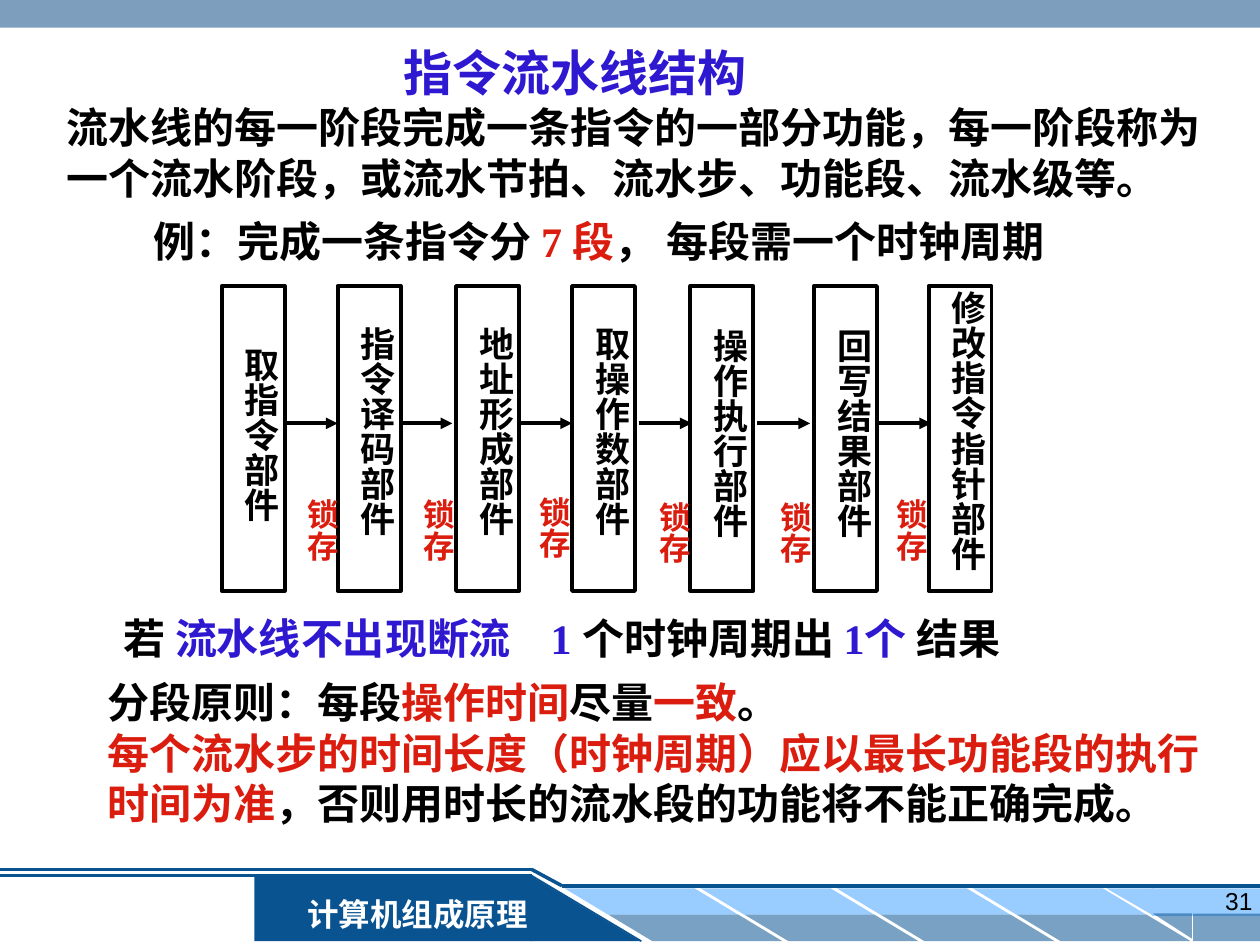
from lxml.etree import SubElement
from pptx import Presentation
from pptx.dml.color import RGBColor
from pptx.enum.shapes import MSO_CONNECTOR as Link, MSO_SHAPE as Kind
from pptx.enum.text import MSO_ANCHOR as Anchor, MSO_AUTO_SIZE as Fit, PP_ALIGN as Align
from pptx.oxml.ns import qn
from pptx.util import Inches, Pt

WIDE, HIGH = Inches(10), Inches(7.5)
CELL = WIDE / 10  # the grid has 10 columns and 7.5 rows

BLACK = RGBColor(0x00, 0x00, 0x00)
WHITE = RGBColor(0xFF, 0xFF, 0xFF)
RED = RGBColor(0xDA, 0x1D, 0x0E)
BLUE = RGBColor(0x2E, 0x18, 0xD0)
NAVY = RGBColor(0x09, 0x53, 0x91)
SKY = RGBColor(0x99, 0xCC, 0xFF)
STEEL = RGBColor(0x33, 0x66, 0x99)
SERIF, SANS, HAN = "Times New Roman", "Arial", "Noto Sans CJK SC"

# left, label, label top, label height
STAGES = [
    (0.00, "取指令部件", 0.49, 1.49), (0.92, "指令译码部件", 0.32, 1.77),
    (1.86, "地址形成部件", 0.32, 1.77), (2.78, "取操作数部件", 0.32, 1.77),
    (3.72, "操作执行部件", 0.34, 2.07), (4.70, "回写结果部件", 0.34, 2.25),
    (5.61, "修改指令指针部件", 0.04, 2.33),
]
# arrow left, latch left, latch top
LINKS = [
    (0.50, 0.50, 1.69), (1.41, 1.42, 1.69), (2.36, 2.34, 1.67),
    (3.31, 3.29, 1.71), (4.25, 4.25, 1.71), (5.21, 5.17, 1.69),
]


def grid(*cells):
    return [round(c * CELL) for c in cells]


def shift(box, x, y, w, h):
    """Turn an offset inside box into a place on the slide."""
    return box[0] + x, box[1] + y, w, h


def write(para, runs, size, font=SERIF, bold=True):
    for text, color in runs:
        run = para.add_run()
        run.text = text
        face = run.font
        face.size, face.bold, face.name = Pt(size), bold, font
        face.color.rgb = color
        SubElement(run.font._element, qn("a:ea")).set("typeface", HAN)


def frame(shape, pad, wrap, anchor):
    text = shape.text_frame
    text.auto_size, text.word_wrap, text.vertical_anchor = Fit.NONE, wrap, anchor
    text.margin_left = text.margin_right = Inches(pad[0])
    text.margin_top = text.margin_bottom = Inches(pad[1])
    return text


def place(shape, box):
    shape.left, shape.top, shape.width, shape.height = grid(*box)


def label(slide, box, runs, size, align=Align.LEFT, pad=(0, 0.05), wrap=False,
          anchor=Anchor.MIDDLE, **style):
    shape = slide.shapes.add_textbox(*grid(*box))
    para = frame(shape, pad, wrap, anchor).paragraphs[0]
    para.alignment = align
    write(para, runs, size, **style)
    return shape


def upright(slide, box, text, size, color):
    """Add a label that reads from top to bottom."""
    shape = label(slide, box, [(text, color)], size, Align.CENTER,
                  (0.05, 0), True, Anchor.TOP)
    shape.element.txBody.bodyPr.set("vert", "eaVert")


def solid(slide, kind, box, color, alpha=None, flip="", slant=None):
    shape = slide.shapes.add_shape(kind, *grid(*box))
    shape.shadow.inherit = False
    shape.line.fill.background()
    shape.fill.solid()
    shape.fill.fore_color.rgb = color
    if slant:
        shape.adjustments[0] = slant
    if alpha:
        tint = shape.element.spPr.find(".//" + qn("a:srgbClr"))
        SubElement(tint, qn("a:alpha")).set("val", str(alpha * 1000))
    for axis in flip:
        shape.element.spPr.find(qn("a:xfrm")).set("flip" + axis, "1")


def rule(slide, box, ends, color, width, arrow=False):
    x, y = box[:2]
    x1, y1, x2, y2 = ends
    line = slide.shapes.add_connector(
        Link.STRAIGHT, *grid(x + x1, y + y1, x + x2, y + y2))
    line.line.color.rgb, line.line.width = color, Pt(width)
    if arrow:
        SubElement(line.line._get_or_add_ln(), qn("a:tailEnd")).set("type", "triangle")
    SubElement(line.element.spPr, qn("a:effectLst"))


def footer(slide, box):
    def part(kind, x, y, w, h, *args, **more):
        solid(slide, kind, shift(box, x, y, w, h), *args, **more)

    part(Kind.RECTANGLE, 2.02, 0.05, 2.2, 0.52, NAVY)
    for ends, width in [((5.09, 0.57, 4.22, 0.05), 1), ((4.22, 0.05, 0, 0.05), 1.5),
                        ((0, 0, 4.22, 0), 2)]:
        rule(slide, box, ends, NAVY, width)
    for i in range(4):
        left = 4.48 + 1.08 * i
        part(Kind.PARALLELOGRAM, left, 0.15, 1.38, 0.21, SKY, flip="H", slant=1.66)
        part(Kind.PARALLELOGRAM, left + 0.35, 0.36, 1.38, 0.21, NAVY, 54, "H", 1.66)
    part(Kind.RECTANGLE, 9.14, 0.15, 0.86, 0.22, SKY)
    part(Kind.RIGHT_TRIANGLE, 8.78, 0.15, 0.38, 0.22, SKY, flip="HV")
    part(Kind.RECTANGLE, 9.47, 0.35, 0.53, 0.22, NAVY, 54)
    part(Kind.RIGHT_TRIANGLE, 9.15, 0.35, 0.31, 0.2, NAVY, 54, "HV")
    rule(slide, box, (4.46, 0.13, 10, 0.13), NAVY, 2)
    part(Kind.RIGHT_TRIANGLE, 4.21, 0.05, 0.87, 0.52, NAVY)
    rule(slide, box, (4.22, 0, 4.46, 0.13), NAVY, 2)
    label(slide, shift(box, 2.29, 0.15, 2.05, 0.4), [("计算机组成原理", WHITE)],
          18, Align.CENTER, (0.1, 0.05))
    label(slide, shift(box, 7.71, 0.08, 2.33, 0.52), [("31", BLACK)], 14, Align.RIGHT,
          (0.1, 0.05), True, Anchor.TOP, font=SANS, bold=False)


def heading(shape, box):
    place(shape, box)
    para = frame(shape, (0, 0.05), False, Anchor.MIDDLE).paragraphs[0]
    para.alignment = Align.CENTER
    write(para, [("指令流水线结构", BLUE)], 28)


def prose(shape, box, paras, font):
    """Fill a placeholder or text box with plain, evenly spaced paragraphs."""
    place(shape, box)
    text = frame(shape, (0.1, 0.05), True, Anchor.TOP)
    for i, runs in enumerate(paras):
        para = text.add_paragraph() if i else text.paragraphs[0]
        para.line_spacing, para.space_before = Pt(28.8), Pt(0)
        props = para._p.get_or_add_pPr()
        props.set("marL", "0")
        props.set("indent", "0")
        SubElement(props, qn("a:buNone"))
        write(para, runs, 24, font)


def pipeline(slide, box):
    for x, name, top, tall in STAGES:
        upright(slide, shift(box, x, top, 0.53, tall), name, 20, BLACK)
        unit = slide.shapes.add_shape(Kind.RECTANGLE, *grid(*shift(box, x, 0, 0.5, box[3])))
        unit.shadow.inherit = False
        unit.fill.background()
        unit.line.color.rgb, unit.line.width = BLACK, Pt(2.25)
    for x, left, top in LINKS:
        rule(slide, box, (x, 1.09, x + 0.42, 1.09), BLACK, 2.25, True)
        upright(slide, shift(box, left, top, 0.5, 0.6), "锁存", 18, RED)


def main():
    deck = Presentation()
    deck.slide_width, deck.slide_height = WIDE, HIGH
    slide = deck.slides.add_slide(deck.slide_layouts[1])
    title, body = slide.placeholders

    footer(slide, (0, 6.9, 10, 0.57))
    solid(slide, Kind.RECTANGLE, (0, 0, 10, 0.22), STEEL, 63)
    heading(title, (2.48, 0.28, 4.17, 0.58))
    intro = slide.shapes.add_textbox(0, 0, 0, 0)
    prose(intro, (0.43, 0.76, 9.29, 0.9), [[
        ("流水线的每一阶段完成一条指令的一部分功能，每一阶段称为一个流水阶段，"
         "或流水节拍、流水步、功能段、流水级等。", BLACK)]], SERIF)
    label(slide, (1.22, 1.62, 7.17, 0.58), [
        ("例：完成一条指令分 ", BLACK), ("7 段", RED), ("， 每段需一个时钟周期", BLACK)], 24)
    pipeline(slide, (1.76, 2.27, 6.11, 2.42))
    label(slide, (0.98, 4.77, 4.22, 0.58), [("若 ", BLACK), ("流水线不出现断流", BLUE)], 24)
    label(slide, (4.37, 4.77, 3.75, 0.58), [
        ("1 ", BLUE), ("个时钟周期出 ", BLACK), ("1个 ", BLUE), ("结果", BLACK)], 24)
    prose(body, (0.75, 5.32, 8.9, 1.3), [
        [("分段原则：每段", BLACK), ("操作时间", RED), ("尽量", BLACK), ("一致", RED),
         ("。", BLACK)],
        [("每个流水步的时间长度（时钟周期）应以最长功能段的执行时间为准", RED),
         ("，否则用时长的流水段的功能将不能正确完成。", BLACK)]], HAN)
    deck.save("out.pptx")


if __name__ == "__main__":
    main()
